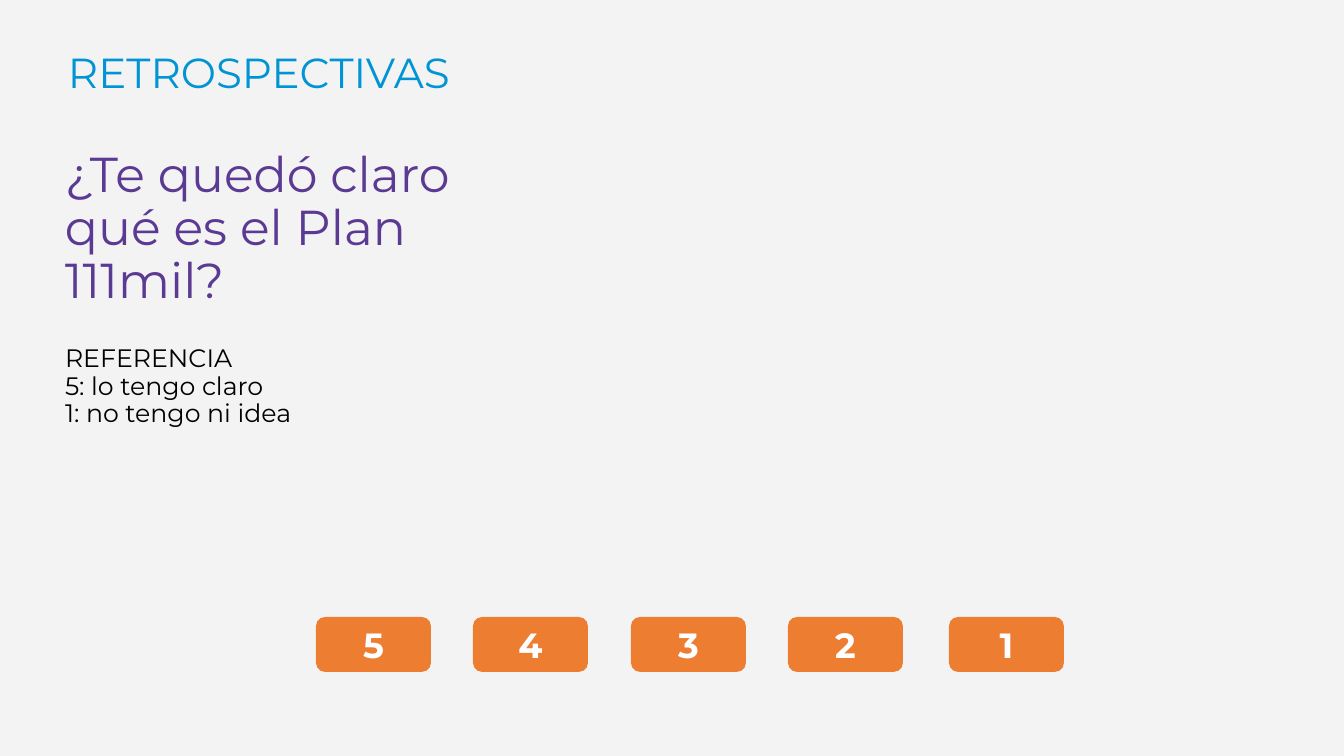
from dataclasses import dataclass
from pptx import Presentation
from pptx.dml.color import RGBColor as Color
from pptx.enum.shapes import MSO_SHAPE as Shape
from pptx.enum.text import MSO_ANCHOR as Anchor, PP_ALIGN as Align
from pptx.util import Pt


@dataclass(frozen=True)
class Theme:
    font: str = "Montserrat"
    back: str = "F3F3F3"
    title: str = "0094D4"
    ask: str = "5B3A93"
    ink: str = "000000"
    fill: str = "ED7D31"
    light: str = "FFFFFF"
    title_size: int = 30
    ask_size: int = 35
    note_size: int = 18
    key_size: int = 25


THEME = Theme()
SCALE = 914400 / 100.8


def px(count):
    return round(count * SCALE)


def write(frame, text, size, color, pads=(10, 10), space=None, align=Align.LEFT, bold=False):
    frame.word_wrap = True
    frame.margin_left = frame.margin_right = px(10)
    frame.margin_top, frame.margin_bottom = map(px, pads)
    frame.text = text
    for para in frame.paragraphs:
        para.alignment = align
        para.line_spacing = space
        for run in para.runs:
            font = run.font
            font.name = THEME.font
            font.size = Pt(size)
            font.bold = bold
            font.color.rgb = Color.from_string(color)


def add_text(slide, box, *args, **style):
    frame = slide.shapes.add_textbox(*map(px, box)).text_frame
    frame.vertical_anchor = Anchor.TOP
    write(frame, *args, **style)


def add_key(slide, box, label):
    key = slide.shapes.add_shape(Shape.ROUNDED_RECTANGLE, *map(px, box))
    key.shadow.inherit = False
    key.fill.solid()
    key.fill.fore_color.rgb = Color.from_string(THEME.fill)
    key.line.fill.background()
    key.text_frame.vertical_anchor = Anchor.MIDDLE
    write(key.text_frame, label, THEME.key_size, THEME.light, align=Align.CENTER, bold=True)


def add_scale(slide, box):
    left, top, width, height = box
    for step, label in zip((0, 157, 315, 472, 633), "54321"):
        add_key(slide, (left + step, top, width - 633, height), label)


def add_survey(slide, box):
    left, top, width, height = box
    add_text(slide, (left, top, 471, 208), "¿Te quedó claro qué es el Plan 111mil?",
             THEME.ask_size, THEME.ask, pads=(5, 5), space=0.9)
    add_scale(slide, (left + 261, top + height - 55, width - 261, 55))
    add_text(slide, (left, top + 191, 361, 119),
             "REFERENCIA\n5: lo tengo claro\n1: no tengo ni idea",
             THEME.note_size, THEME.ink, space=0.9)


def main():
    deck = Presentation()
    deck.slide_width, deck.slide_height = px(1344), px(756)
    slide = deck.slides.add_slide(deck.slide_layouts[6])
    back = slide.background.fill
    back.solid()
    back.fore_color.rgb = Color.from_string(THEME.back)
    add_survey(slide, (55, 145, 1009, 527))
    add_text(slide, (58, 37, 442, 82), "RETROSPECTIVAS",
             THEME.title_size, THEME.title, pads=(10, 0))
    deck.save("out.pptx")


if __name__ == "__main__":
    main()
